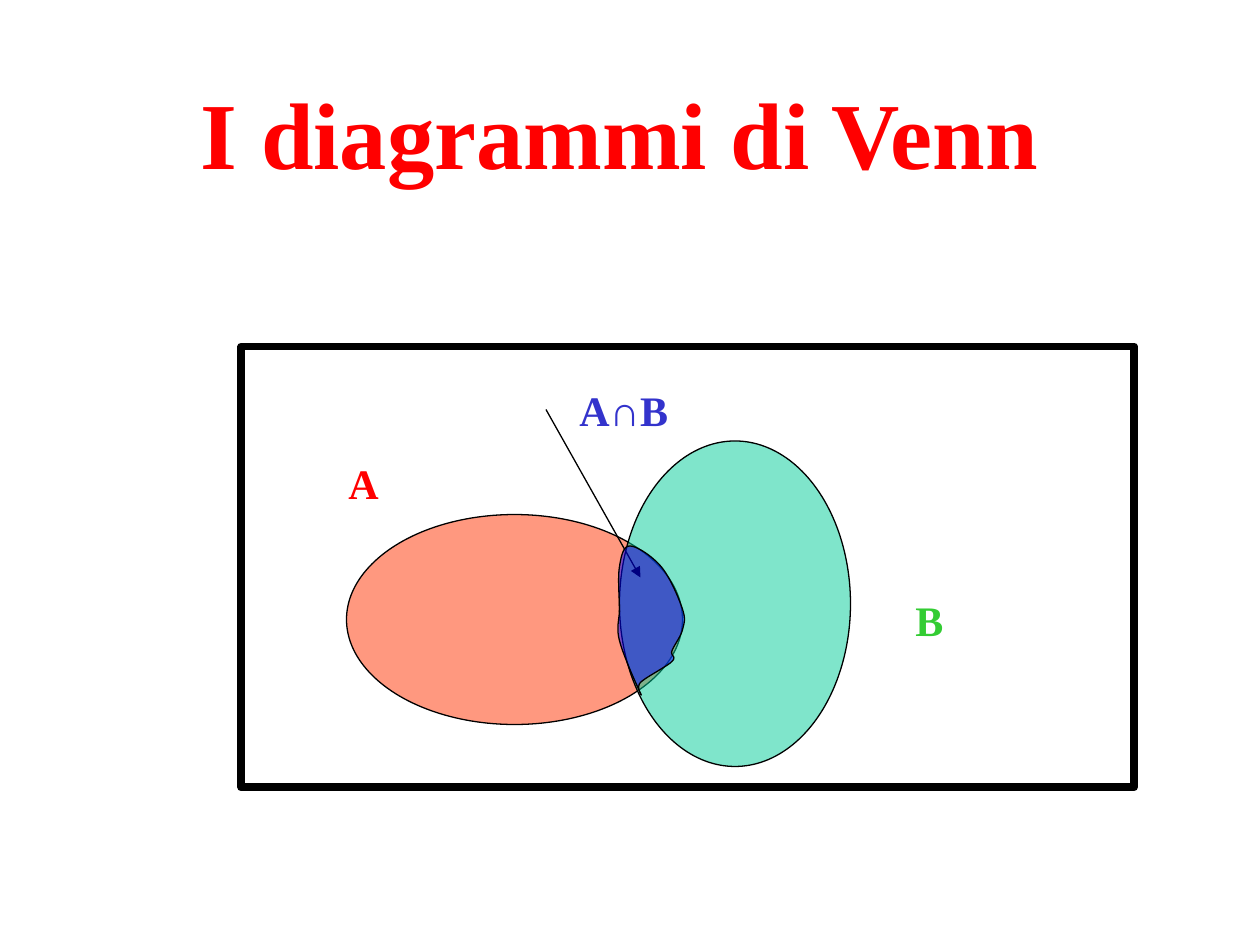
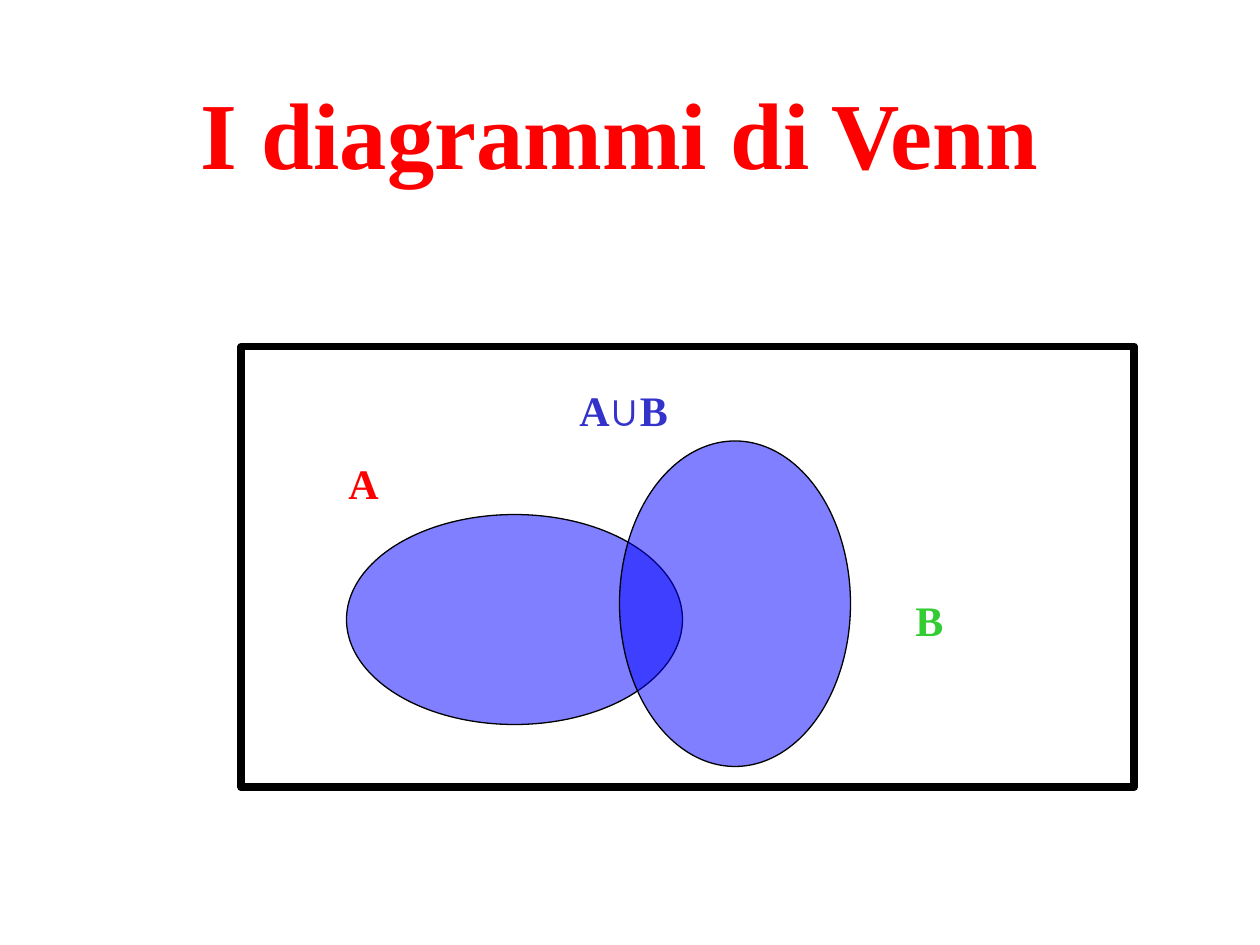
from lxml.etree import SubElement
from pptx import Presentation
from pptx.dml.color import RGBColor
from pptx.enum.shapes import MSO_CONNECTOR as Connector, MSO_SHAPE as Shape
from pptx.enum.text import MSO_ANCHOR as Anchor, MSO_AUTO_SIZE as AutoSize, PP_ALIGN as Align
from pptx.oxml.ns import qn
from pptx.util import Inches, Pt

COLORS = {
    "red": "FF0000",
    "green": "33CC33",
    "indigo": "3333CC",
    "black": "000000",
    "coral": "FF3300",
    "teal": "00CC99",
    "blue": "0000FF",
}
FONT, SYMBOL_FONT = "Times New Roman", "Arial"
COLUMNS, ROWS = 120, 90
TITLE = "I diagrammi di Venn"

# Places in grid columns and rows: left, top, width, height
TITLE_BOX = (8, 5, 102, 15)
UNIVERSE = (23, 33, 85, 42)
SET_A = (33, 49, 32, 20)
SET_B = (59, 42, 22, 31)
LABEL_A = (32, 43, 9, 6)
LABEL_B = (86, 56, 12, 6)
LABEL_OPERATION = (54, 36, 20, 6)
POINTER = ((52, 39), (61, 55))
INTERSECTION = [(60, 52), (63, 54), (65, 58), (65, 60), (64, 62), (64, 63),
                (61, 65), (61, 66), (59, 61), (59, 58), (59, 54)]


def smooth_outline(knots, steps=10):
    """Points of a closed Catmull-Rom curve through the knots."""
    points = []
    count = len(knots)
    for index in range(count):
        before, start, end, after = (knots[(index + k) % count] for k in (-1, 0, 1, 2))
        for step in range(steps):
            t = step / steps
            points.append(tuple(
                b + (c - a) / 2 * t
                + (a - 2.5 * b + 2 * c - d / 2) * t ** 2
                + (1.5 * (b - c) + (d - a) / 2) * t ** 3
                for a, b, c, d in zip(before, start, end, after)))
    return points


class VennDeck:
    def __init__(self):
        self.presentation = Presentation()
        self.presentation.slide_width = Inches(10)
        self.presentation.slide_height = Inches(7.5)
        self.column = self.presentation.slide_width / COLUMNS
        self.row = self.presentation.slide_height / ROWS
        self.slide = None

    def place(self, *lengths):
        """Turn alternating columns and rows into slide lengths."""
        return [round(length * (self.row if index % 2 else self.column))
                for index, length in enumerate(lengths)]

    def style_run(self, run, size, color, font=FONT):
        run.font.name = font
        run.font.size = Pt(size)
        run.font.bold = True
        run.font.color.rgb = RGBColor.from_string(COLORS[color])

    def style_line(self, shape, width):
        shape.line.color.rgb = RGBColor.from_string(COLORS["black"])
        shape.line.width = Pt(width)

    def style_area(self, shape, fill, line_width=0.75):
        """Black outline, and a half-transparent fill or none."""
        shape.shadow.inherit = False
        self.style_line(shape, line_width)
        if fill is None:
            shape.fill.background()
            return
        shape.fill.solid()
        shape.fill.fore_color.rgb = RGBColor.from_string(COLORS[fill])
        color = shape.fill._xPr.find(f"{qn('a:solidFill')}/{qn('a:srgbClr')}")
        SubElement(color, qn("a:alpha"), val="50000")

    def add_slide(self, title):
        layout = self.presentation.slide_layouts.get_by_name("Title Only")
        self.slide = self.presentation.slides.add_slide(layout)
        shape = self.slide.shapes.title
        shape.left, shape.top, shape.width, shape.height = self.place(*TITLE_BOX)
        frame = shape.text_frame
        frame.text = title
        frame.auto_size = AutoSize.NONE
        frame.vertical_anchor = Anchor.MIDDLE
        frame.paragraphs[0].alignment = Align.CENTER
        self.style_run(frame.paragraphs[0].runs[0], 54, "red")

    def add_area(self, kind, box, fill=None, line_width=0.75):
        shape = self.slide.shapes.add_shape(kind, *self.place(*box))
        self.style_area(shape, fill, line_width)

    def add_curved_area(self, knots, fill):
        start, *others = [self.place(*point) for point in smooth_outline(knots)]
        builder = self.slide.shapes.build_freeform(*start)
        builder.add_line_segments(others, close=True)
        self.style_area(builder.convert_to_shape(), fill)

    def add_label(self, box, text, color):
        frame = self.slide.shapes.add_textbox(*self.place(*box)).text_frame
        frame.word_wrap = True
        frame.auto_size = AutoSize.SHAPE_TO_FIT_TEXT
        paragraph = frame.paragraphs[0]
        paragraph.space_before = Pt(15)
        for character in text:
            run = paragraph.add_run()
            run.text = character
            self.style_run(run, 24, color, FONT if character.isalpha() else SYMBOL_FONT)

    def add_arrow(self, start, end):
        connector = self.slide.shapes.add_connector(
            Connector.STRAIGHT, *self.place(*start, *end))
        self.style_line(connector, 0.75)
        SubElement(connector.line._get_or_add_ln(), qn("a:tailEnd"), type="triangle")
        SubElement(connector._element.spPr, qn("a:effectLst"))

    def add_venn_slide(self, operation, fill_a, fill_b, pointer=None, overlap=None):
        self.add_slide(TITLE)
        # Universe and the two sets
        self.add_area(Shape.RECTANGLE, UNIVERSE, line_width=4.5)
        self.add_area(Shape.OVAL, SET_A, fill_a)
        self.add_area(Shape.OVAL, SET_B, fill_b)
        # Labels
        self.add_label(LABEL_A, "A", "red")
        self.add_label(LABEL_B, "B", "green")
        if pointer:
            self.add_arrow(*pointer)
        self.add_label(LABEL_OPERATION, operation, "indigo")
        # Highlighted overlap
        if overlap:
            self.add_curved_area(overlap, "blue")


def main():
    deck = VennDeck()
    deck.add_venn_slide("A∩B", "coral", "teal", POINTER, INTERSECTION)
    deck.add_venn_slide("A∪B", "blue", "blue")
    deck.presentation.save("out.pptx")


if __name__ == "__main__":
    main()
